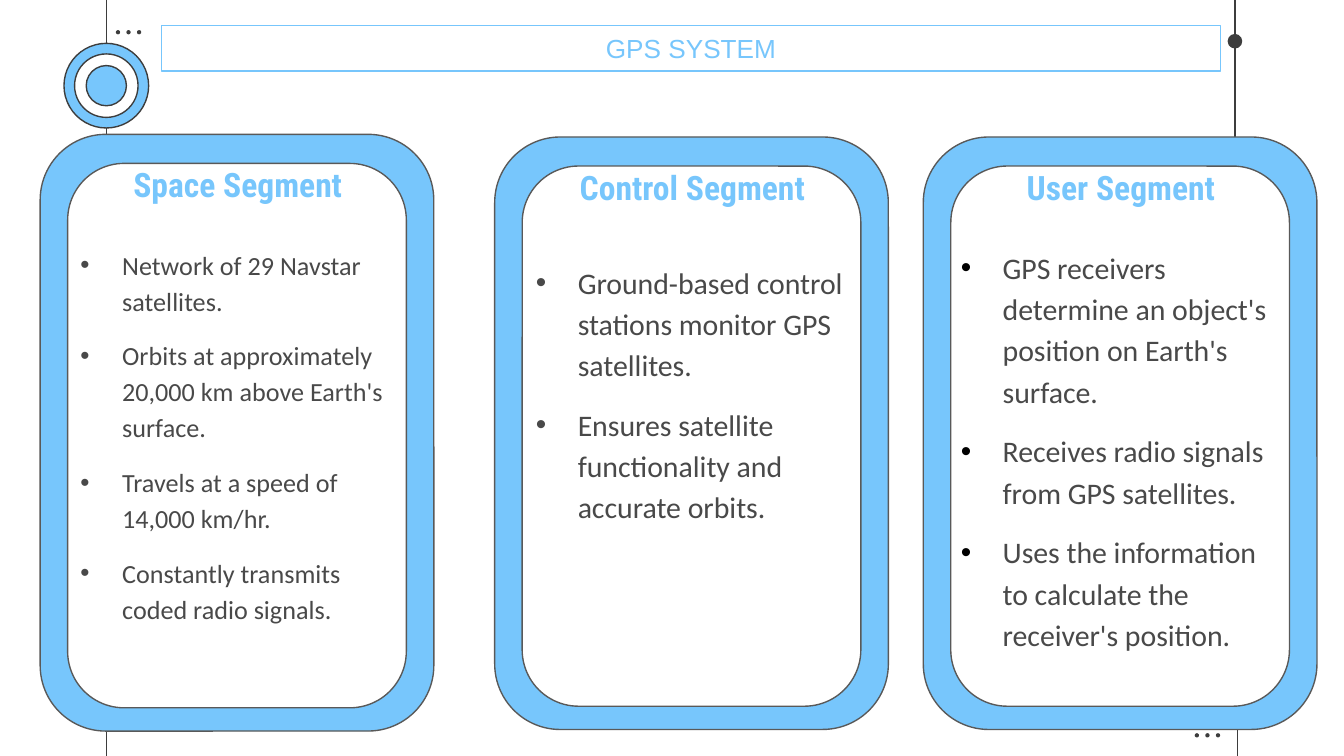
from lxml import etree
from pptx import Presentation
from pptx.dml.color import RGBColor
from pptx.enum.shapes import MSO_CONNECTOR, MSO_SHAPE
from pptx.enum.text import MSO_ANCHOR, MSO_AUTO_SIZE, PP_ALIGN
from pptx.oxml.ns import qn
from pptx.util import Cm, Pt

OVAL = MSO_SHAPE.OVAL
ROUND = MSO_SHAPE.ROUNDED_RECTANGLE
LINE = MSO_CONNECTOR.STRAIGHT
MID, TOP = MSO_ANCHOR.MIDDLE, MSO_ANCHOR.TOP
MID_TEXT = PP_ALIGN.CENTER
FIXED = MSO_AUTO_SIZE.NONE

WIDE, HIGH = 25.4, 14.29
BLUE, WHITE, DARK, EDGE = "77C6FC", "FFFFFF", "3D3D3D", "595959"
GREY, BLACK = "494949", "000000"
HEAD = {"name": "Roboto Condensed", "size": Pt(18), "bold": True}

# Left and top of card, its height, left and top of list, list width,
# text size, bullet colour, heading, items
CARDS = [
    (9.35, 2.59, 11.2, 9.88, 4.65, 6.4, 16, GREY, "Control Segment", [
        "Ground-based control stations monitor GPS satellites.",
        "Ensures satellite functionality and accurate orbits.",
    ]),
    (0.76, 2.54, 11.28, 1.27, 4.37, 6.55, 14, GREY, "Space Segment", [
        "Network of 29 Navstar satellites.",
        "Orbits at approximately 20,000 km above Earth's surface.",
        "Travels at a speed of 14,000 km/hr.",
        "Constantly transmits coded radio signals.",
    ]),
    (17.45, 2.59, 11.2, 17.91, 4.37, 6.4, 16, BLACK, "User Segment", [
        "GPS receivers determine an object's position on Earth's surface.",
        "Receives radio signals from GPS satellites.",
        "Uses the information to calculate the receiver's position.",
    ]),
]


def color(code):
    return RGBColor.from_string(code)


def style(item, values):
    for key, value in values.items():
        setattr(item, key, value)


def outline(item, code):
    item.line.color.rgb = color(code)
    item.line.width = Pt(0.75)


def add_shape(slide, kind, box, fill, edge):
    shape = slide.shapes.add_shape(kind, *map(Cm, box))
    shape.shadow.inherit = False
    shape.fill.solid()
    shape.fill.fore_color.rgb = color(fill)
    outline(shape, edge)
    return shape


def add_disc(slide, x, y, size, fill=DARK):
    """Draw a circle around the centre x, y."""
    box = (x - size / 2, y - size / 2, size, size)
    return add_shape(slide, OVAL, box, fill, DARK)


def add_line(slide, x, start, end):
    line = slide.shapes.add_connector(LINE, Cm(x), Cm(start), Cm(x), Cm(end))
    outline(line, DARK)
    etree.SubElement(line._element.spPr, qn("a:effectLst"))


def add_dots(slide, x, y):
    for step in range(3):
        dot = add_disc(slide, x + step * 0.2, y, 0.08)
        dot.line.fill.background()


def add_run(para, text, ink, font):
    run = para.add_run()
    run.text = text
    style(run.font, font)
    run.font.color.rgb = color(ink)


def add_box(slide, box, anchor):
    frame = slide.shapes.add_textbox(*map(Cm, box)).text_frame
    style(frame, {"word_wrap": True, "auto_size": FIXED,
                  "vertical_anchor": anchor})
    for side in ("left", "top", "right", "bottom"):
        setattr(frame, "margin_" + side, Cm(0.25))
    return frame


def add_bullet(para, ink):
    props = para._p.get_or_add_pPr()
    props.set("marL", str(Cm(0.79)))
    props.set("indent", str(-Cm(0.79)))
    tint = etree.SubElement(props, qn("a:buClr"))
    etree.SubElement(tint, qn("a:srgbClr"), val=ink)
    etree.SubElement(props, qn("a:buFont"), typeface="Arial")
    etree.SubElement(props, qn("a:buChar"), char="•")


def add_list(slide, box, size, mark, items):
    frame = add_box(slide, box, TOP)
    for i, item in enumerate(items):
        para = frame.add_paragraph() if i else frame.paragraphs[0]
        add_bullet(para, mark)
        style(para, {"line_spacing": 1.15, "space_after": Pt(10)})
        add_run(para, item, GREY, {"name": "Calibri", "size": Pt(size)})


def add_card(slide, x, y, high, left, top, wide, size, mark, head, items):
    add_shape(slide, ROUND, (x, y, 7.44, high), BLUE, EDGE)
    add_shape(slide, ROUND, (x + 0.52, y + 0.55, 6.4, high - 0.99),
              WHITE, EDGE)
    para = add_box(slide, (x + 0.84, y + 0.53, 5.79, 0.83), MID).paragraphs[0]
    para.alignment = MID_TEXT
    add_run(para, head, BLUE, HEAD)
    add_list(slide, (left, top, wide, 9.1), size, mark, items)


def set_title(slide, text):
    title = slide.shapes.title
    style(title, {"left": Cm(3.05), "top": Cm(0.48),
                  "width": Cm(20.02), "height": Cm(0.86)})
    outline(title, BLUE)
    frame = title.text_frame
    style(frame, {"word_wrap": True, "auto_size": FIXED,
                  "vertical_anchor": MID})
    para = frame.paragraphs[0]
    para.alignment = MID_TEXT
    add_run(para, text, BLUE, {"name": "Arial", "size": Pt(14)})


def add_decor(slide):
    for x, start, end in ((23.39, 7.39, HIGH), (2.01, 0, 6.96),
                          (23.34, 0, 5.99), (2.01, 8.31, HIGH)):
        add_line(slide, x, start, end)
    for size, fill in ((1.6, BLUE), (1.2, WHITE), (0.76, BLUE)):
        add_disc(slide, 2.01, 1.62, size, fill)
    add_dots(slide, 2.23, 0.61)
    add_dots(slide, 22.62, 13.9)
    add_disc(slide, 23.34, 0.78, 0.25)


def main():
    deck = Presentation()
    style(deck, {"slide_width": Cm(WIDE), "slide_height": Cm(HIGH)})
    slide = deck.slides.add_slide(deck.slide_layouts[5])
    set_title(slide, "GPS SYSTEM")
    add_decor(slide)
    for card in CARDS:
        add_card(slide, *card)
    deck.save("out.pptx")


if __name__ == "__main__":
    main()
